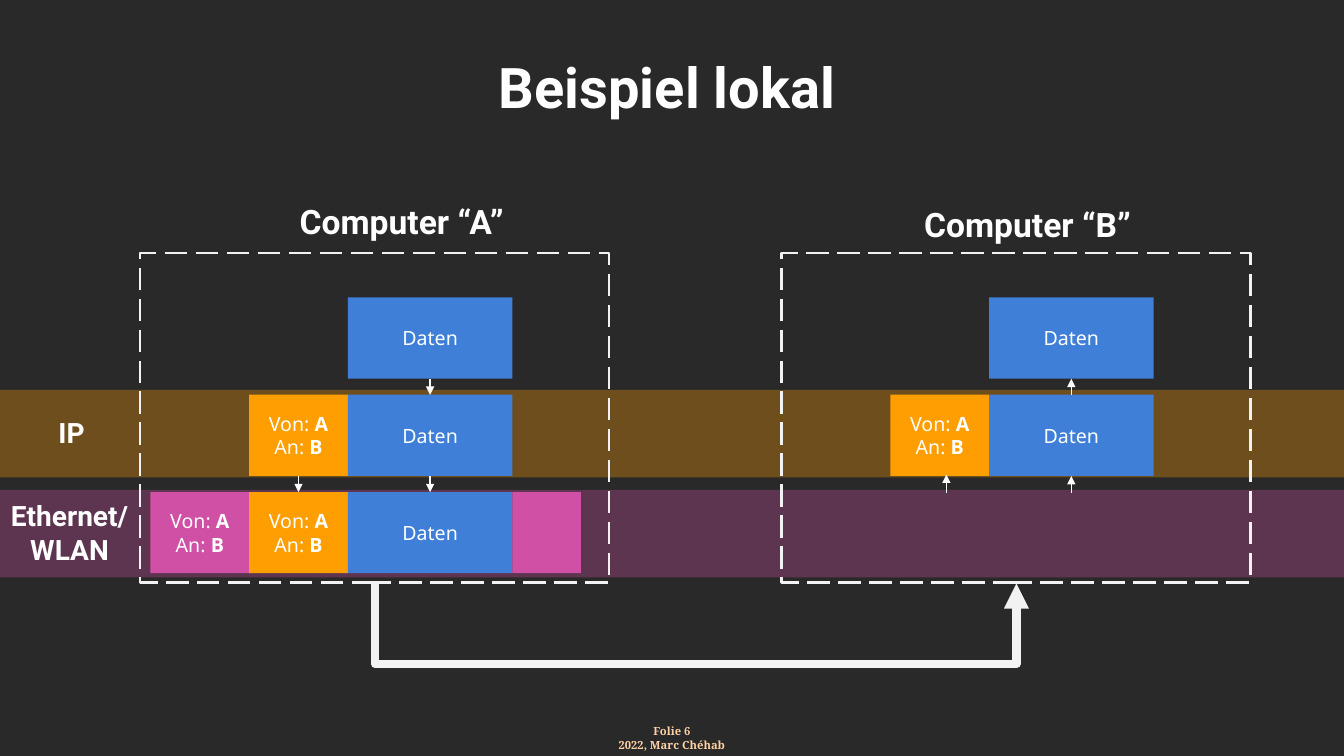
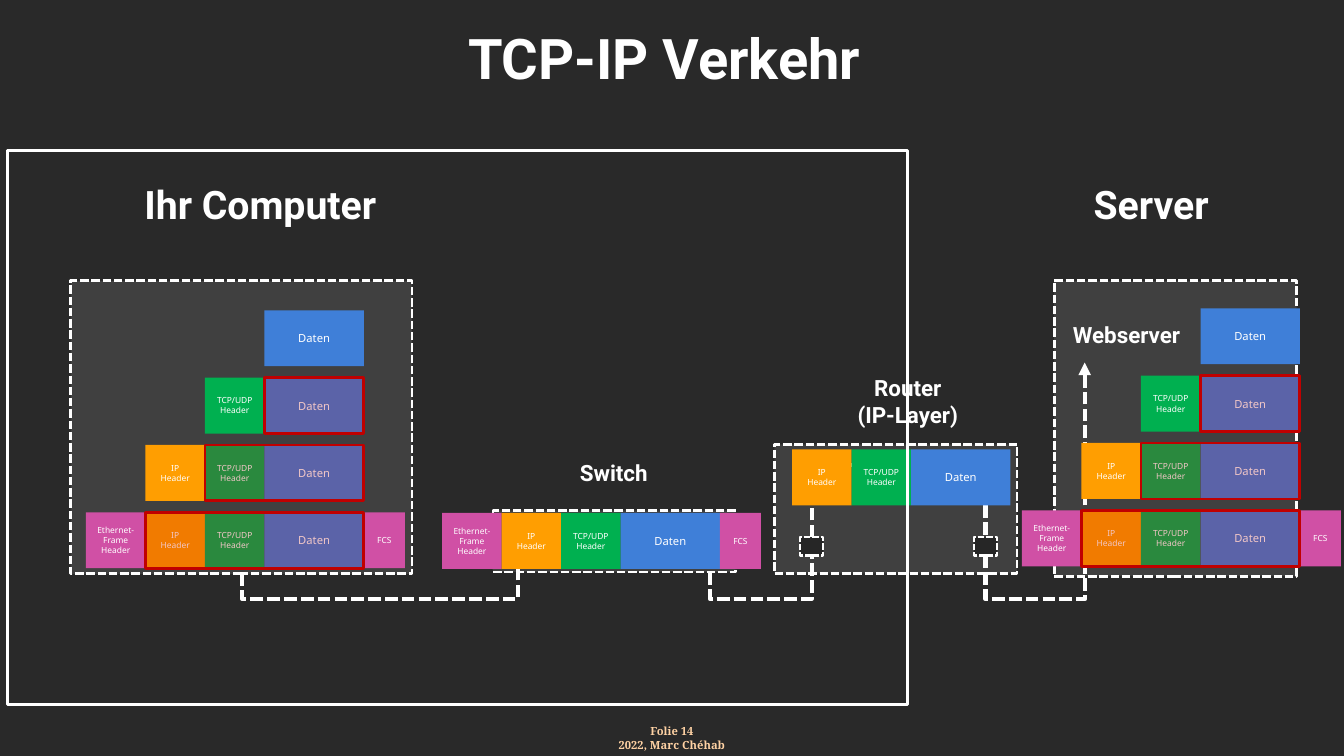
from dataclasses import dataclass
from functools import partial

from lxml import etree
from pptx import Presentation
from pptx import util as u
from pptx.dml.color import RGBColor
from pptx.enum import dml, shapes, text
from pptx.oxml.ns import qn

DARK, WHITE, PALE, GREY = "292929", "FFFFFF", "F2F2F2", "404040"
BLUE, ORANGE, PINK, GREEN, RED = "3F7FD8", "FF9E01", "D050A5", "00B050", "C00000"
FOOTER_COLOUR, PORT_COLOUR = "FFD2A4", "262626"
HEADING_FONT, BODY_FONT, FOOTER_FONT = "Roboto", "Noto Sans", "Noto Serif"
LONG_DASH, SHORT_DASH = dml.MSO_LINE.LONG_DASH, dml.MSO_LINE.SQUARE_DOT
BOTTOM, TOP = 2, 0


@dataclass
class Field:
    label: str
    width: float
    colour: str
    size: float


def colour_of(value):
    return RGBColor.from_string(value)


def write_text(text_frame, wording, size, font=BODY_FONT, colour=WHITE, bold=False):
    text_frame.word_wrap = True
    text_frame.vertical_anchor = text.MSO_ANCHOR.MIDDLE
    lines = [line.partition("|") for line in wording.split("\n")]
    text_frame.text = "\n".join(line[0] for line in lines)
    for paragraph, (_, _, strong) in zip(text_frame.paragraphs, lines):
        paragraph.alignment = text.PP_ALIGN.CENTER
        if strong:
            paragraph.add_run().text = strong
        for index, run in enumerate(paragraph.runs):
            run.font.name = font
            run.font.size = u.Pt(size)
            run.font.bold = bold or index > 0
            run.font.color.rgb = colour_of(colour)


def style_line(line, colour, width, dash=None):
    line.color.rgb = colour_of(colour)
    line.width = u.Pt(width)
    if dash:
        line.dash_style = dash


def add_box(slide, left, top, width, height, fill=None, opacity=100, line=None):
    shape = slide.shapes.add_shape(
        shapes.MSO_SHAPE.RECTANGLE, u.Pt(left), u.Pt(top), u.Pt(width), u.Pt(height))
    shape.shadow.inherit = False
    if fill:
        shape.fill.solid()
        shape.fill.fore_color.rgb = colour_of(fill)
        if opacity < 100:
            colour = shape.element.spPr.find(qn("a:solidFill"))[0]
            etree.SubElement(colour, qn("a:alpha"), val=str(opacity * 1000))
    else:
        shape.fill.background()
    if line:
        style_line(shape.line, *line)
    else:
        shape.line.fill.background()
    return shape


def add_label(slide, wording, left, top, width, size, height=57.6):
    shape = slide.shapes.add_textbox(u.Pt(left), u.Pt(top), u.Pt(width), u.Pt(height))
    shape.text_frame.margin_left = 0
    write_text(shape.text_frame, wording, size, HEADING_FONT, bold=True)


def add_footer(slide, number):
    shape = slide.shapes.add_textbox(u.Pt(384), u.Pt(517.7), u.Pt(192), u.Pt(19.4))
    text_frame = shape.text_frame
    text_frame.margin_left = text_frame.margin_right = 0
    text_frame.margin_top = text_frame.margin_bottom = 0
    write_text(text_frame, f"Folie {number}\n2022, Marc Chéhab", 8,
               FOOTER_FONT, FOOTER_COLOUR, True)
    text_frame.vertical_anchor = text.MSO_ANCHOR.TOP


def add_packet(slide, left, top, height, fields):
    boxes = []
    for field in fields:
        box = add_box(slide, left, top, field.width, height, field.colour)
        if field.label:
            write_text(box.text_frame, field.label, field.size)
        boxes.append(box)
        left += field.width
    return boxes


def finish_connector(connector, colour, width, dash=None, arrow=False):
    style_line(connector.line, colour, width, dash)
    properties = connector.element.spPr
    if arrow:
        etree.SubElement(properties.find(qn("a:ln")), qn("a:tailEnd"), type="triangle")
    etree.SubElement(properties, qn("a:effectLst"))


def add_arrow(slide, start, end, colour=WHITE, width=1, dash=None,
              source=None, target=None, upward=False):
    connector = slide.shapes.add_connector(
        shapes.MSO_CONNECTOR.STRAIGHT, *map(u.Pt, (*start, *end)))
    if source:
        connector.begin_connect(source, TOP if upward else BOTTOM)
    if target:
        connector.end_connect(target, BOTTOM if upward else TOP)
    finish_connector(connector, colour, width, dash, arrow=True)


def add_u_link(slide, start, end, turn, colour, width, dash=None, arrow=False):
    (x1, y1), (x2, y2) = start, end
    middle_x, middle_y = (x1 + x2) / 2, (y1 + y2) / 2
    half_width, half_height = abs(y2 - y1) / 2, (x2 - x1) / 2
    connector = slide.shapes.add_connector(
        shapes.MSO_CONNECTOR.ELBOW,
        u.Pt(middle_x - half_width), u.Pt(middle_y - half_height),
        u.Pt(middle_x + half_width), u.Pt(middle_y + half_height))
    properties = connector.element.spPr
    transform = properties.find(qn("a:xfrm"))
    transform.set("flipH", "1")
    transform.set("rot", str((270 if y2 > y1 else 90) * 60000))
    if y2 < y1:
        transform.set("flipV", "1")
    adjustments = properties.find(qn("a:prstGeom")).find(qn("a:avLst"))
    share = round((turn - y1) / (y2 - y1) * 100000)
    etree.SubElement(adjustments, qn("a:gd"), name="adj1", fmla=f"val {share}")
    finish_connector(connector, colour, width, dash, arrow)


def build_local_example(slide):
    for top, colour in ((350, PINK), (278.5, ORANGE)):
        add_box(slide, 0, top, 960, 62.5, colour, 32)
    add_label(slide, "Beispiel lokal", 0, 32.4, 960, 40)
    add_label(slide, "IP", 0.7, 280, 108, 20)
    add_label(slide, "Ethernet/WLAN", -0.7, 351.4, 108, 20)
    add_label(slide, "Computer “A”", 203, 129, 175, 24)
    add_label(slide, "Computer “B”", 650, 131, 175, 24)

    address = "Von: |A\nAn: |B"
    data = Field("Daten", 117.5, BLUE, 14)
    ip_header = Field(address, 70.5, ORANGE, 14)
    frame_header = Field(address, 70.5, PINK, 14)
    trailer = Field("", 49, PINK, 14)
    height, offset, data_left = 58, 458, 248.5
    first, second, third = (212.5 + 69.5 * row for row in range(3))
    ip_left = data_left - ip_header.width

    data_a, = add_packet(slide, data_left, first, height, [data])
    ip_a = add_packet(slide, ip_left, second, height, [ip_header, data])
    frame_a = add_packet(slide, ip_left - frame_header.width, third, height,
                         [frame_header, ip_header, data, trailer])
    data_b, = add_packet(slide, data_left + offset, first, height, [data])
    ip_b = add_packet(slide, ip_left + offset, second, height, [ip_header, data])
    for left in (100, 100 + offset):
        add_box(slide, left, 180.7, 335, 235.4, line=(PALE, 2, LONG_DASH))

    add_u_link(slide, (268, 416), (726, 416.7), 473.5, PALE, 6, arrow=True)
    data_x = data_left + data.width / 2
    for source, target in ((data_a, ip_a[1]), (ip_a[0], frame_a[1]), (ip_a[1], frame_a[2])):
        add_arrow(slide, (data_x, first), (data_x, second), source=source, target=target)
    data_x += offset
    add_arrow(slide, (676, 352), (676, 339))
    add_arrow(slide, (data_x, 352), (data_x, 340), target=ip_b[1], upward=True)
    add_arrow(slide, (data_x, second), (data_x, first),
              source=ip_b[1], target=data_b, upward=True)
    add_footer(slide, 6)


def add_stack(slide, data_left, top, pitch, height, headers, data, trailer):
    left, inner_width = data_left, data.width
    add_packet(slide, left, top, height, [data])
    fields = [data]
    for row, header in enumerate(headers, 1):
        row_top = top + row * pitch
        fields = [header, *fields]
        tail = [trailer] if row == len(headers) else []
        add_packet(slide, left - header.width, row_top, height, fields + tail)
        add_box(slide, left, row_top, inner_width, height, RED, 22, (RED, 2))
        left -= header.width
        inner_width += header.width


def build_traffic(slide):
    dashed = (WHITE, 2, SHORT_DASH)
    data = Field("Daten", 71, BLUE, 8)
    tcp = Field("TCP/UDP\nHeader", 42.5, GREEN, 6)
    ip = Field("IP\nHeader", 42.5, ORANGE, 6)
    ethernet = Field("Ethernet-Frame\nHeader", 42.5, PINK, 6)
    trailer = Field("FCS", 29.3, PINK, 6)
    height = 40
    stack = partial(add_stack, slide, height=height, headers=[tcp, ip, ethernet],
                    data=data, trailer=trailer)

    for frame in ((50.4, 200.6, 244, 209.3), (352.2, 364.6, 173.3, 44),
                  (553.2, 317.4, 173.3, 92.3), (753, 200.6, 173.3, 211)):
        add_box(slide, *frame, GREY, line=dashed)

    router_in, router_out, server_x = 579.8, 704, 774.8
    for start, end, turn in (
            ((172.8, 409.7), (370, 396.7), 427.7),
            ((507, 396.7), (router_in, 396.8), 424),
            ((router_out, 396.7), (server_x, 398.2), 428),
            ((router_in, 383.8), (router_out, 383.7), 338.4)):
        add_u_link(slide, start, end, turn, WHITE, 3, SHORT_DASH)
    add_arrow(slide, (server_x, 385), (server_x, 259), width=3, dash=SHORT_DASH)
    for middle in (router_in, router_out):
        add_box(slide, middle - 8.3, 383.8, 16.6, 13, PORT_COLOUR,
                line=(WHITE, 1.5, SHORT_DASH))

    stack(188.9, 221.6, 48.1)
    add_packet(slide, 315.8, 366.4, height, [ethernet, ip, tcp, data, trailer])
    add_packet(slide, 565.8, 321, height, [ip, tcp, data])
    stack(857.5, 220.2, 48.1)

    add_label(slide, "TCP-IP Verkehr", 270, 12.2, 416, 40)
    add_label(slide, "Ihr Computer", 36, 116.6, 307, 28)
    add_label(slide, "Server", 761.8, 116.6, 128, 28)
    add_label(slide, "Switch", 378, 308.9, 128, 16)
    add_label(slide, "Router\n(IP-Layer)", 562.3, 257.8, 179.3, 16)
    add_label(slide, "Webserver", 718.6, 210.2, 179.3, 16)
    add_box(slide, 5.4, 107.3, 643, 396, line=(WHITE, 2))
    add_footer(slide, 14)


def main():
    presentation = Presentation()
    presentation.slide_width, presentation.slide_height = u.Pt(960), u.Pt(540)
    background = presentation.slide_master.background.fill
    background.solid()
    background.fore_color.rgb = colour_of(DARK)
    for build in (build_local_example, build_traffic):
        build(presentation.slides.add_slide(presentation.slide_layouts[6]))
    presentation.save("out.pptx")


if __name__ == "__main__":
    main()
